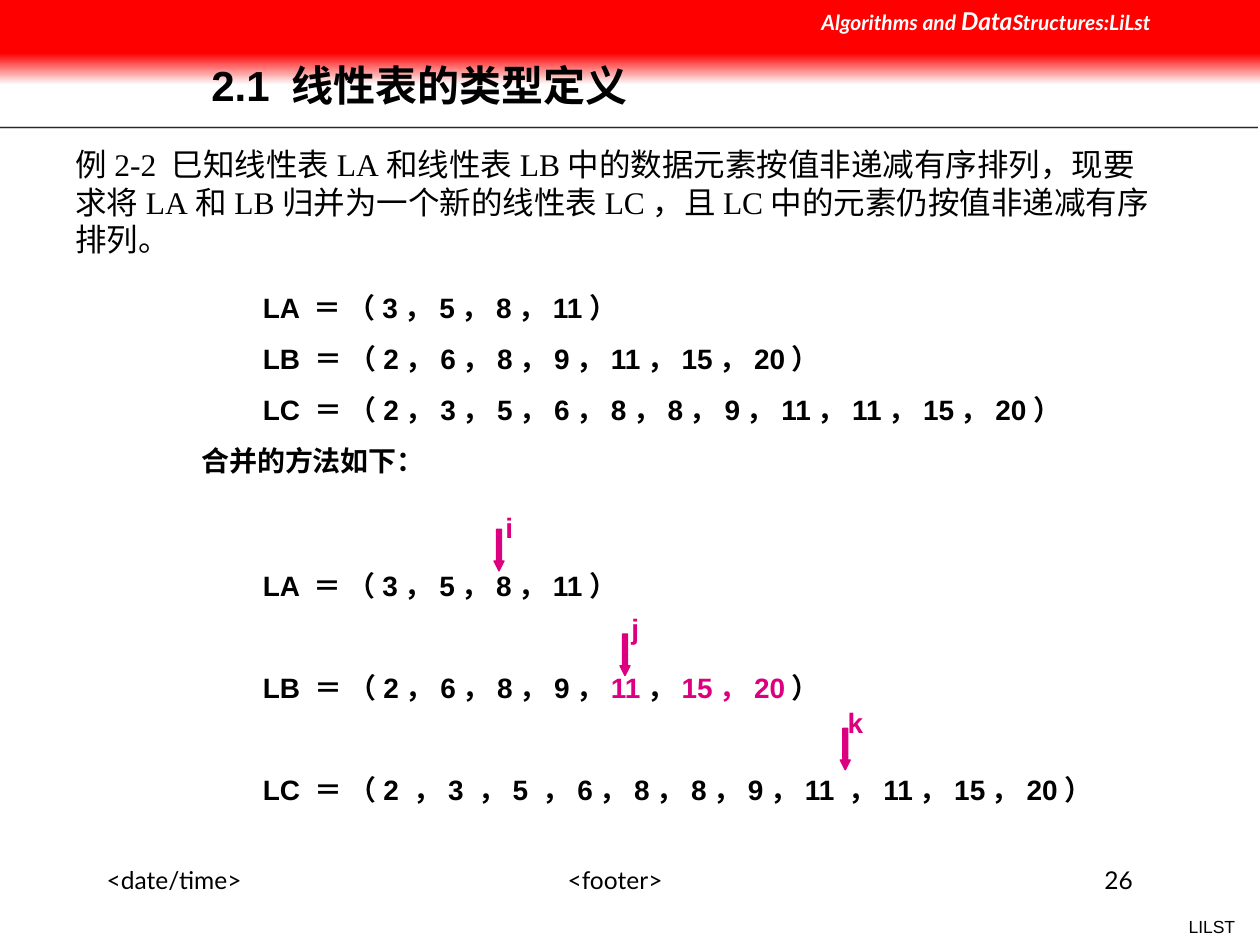
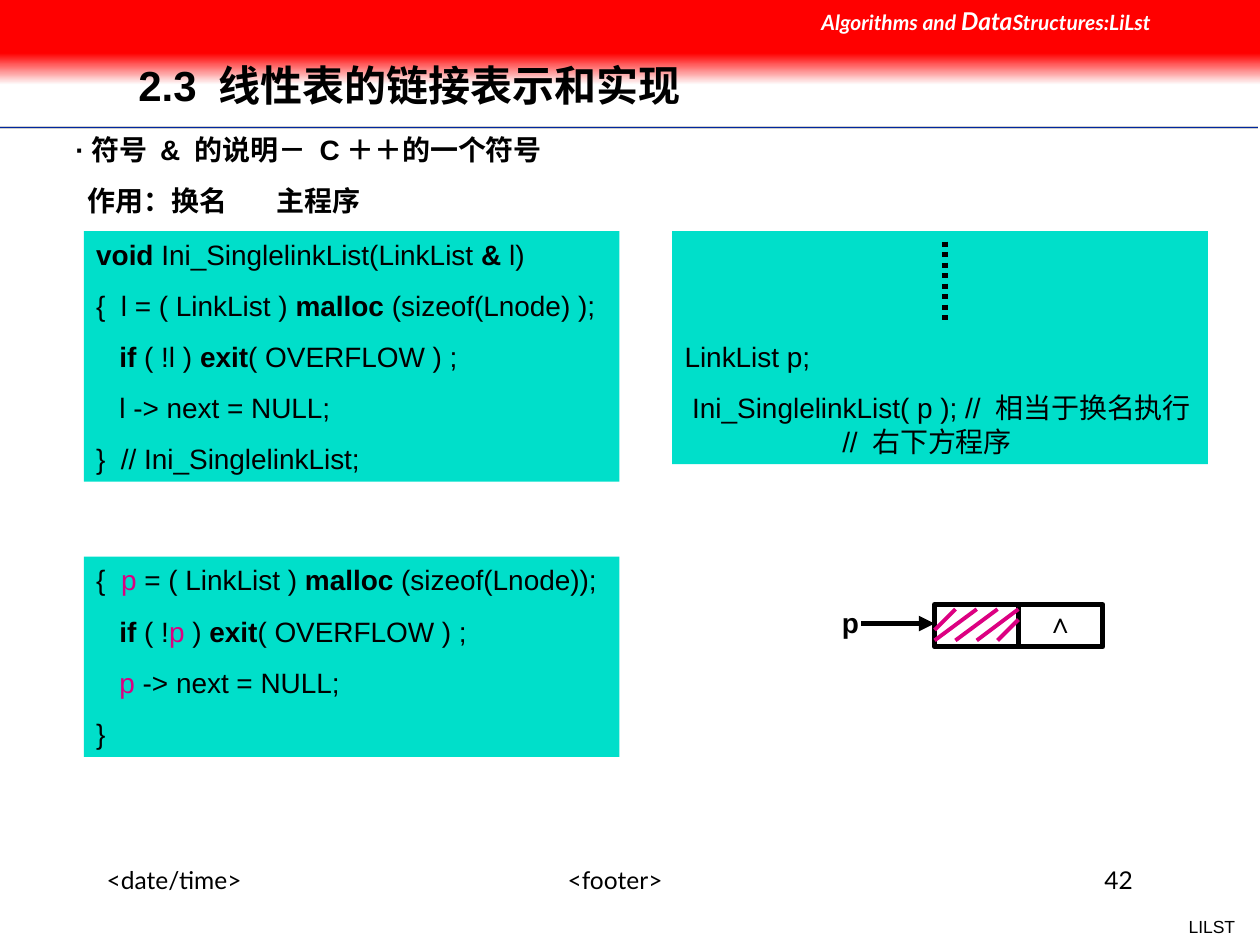
from dataclasses import dataclass
from typing import NamedTuple

import pptx
import pptx.dml.color
import pptx.enum.dml
import pptx.enum.shapes
import pptx.enum.text
import pptx.oxml
import pptx.oxml.ns
import pptx.oxml.xmlchemy
import pptx.util

Cm = pptx.util.Cm
Pt = pptx.util.Pt
Align = pptx.enum.text.PP_ALIGN
Anchor = pptx.enum.text.MSO_ANCHOR
Preset = pptx.enum.shapes.MSO_SHAPE


# Theme: colours, fonts and type sizes
@dataclass(frozen=True)
class Theme:
    black: str = "000000"
    white: str = "FFFFFF"
    red: str = "FF0000"
    fade: str = "FEFEFE"
    rule_blue: str = "00279F"
    rule_grey: str = "CECECE"
    accent: str = "DC0081"
    panel: str = "00DFCA"
    sans: str = "Arial"
    serif: str = "Times New Roman"
    humanist: str = "Lato"
    title: float = 24
    example: float = 18
    body: float = 16
    footer: float = 14
    header: float = 12
    tag: float = 10


THEME = Theme()
PARAGRAPH_GAP = 10
SPACED_GAP = 39


class Box(NamedTuple):
    left: float
    top: float
    width: float
    height: float


class Run(NamedTuple):
    text: str
    bold: bool = False
    color: str = THEME.black
    italic: bool = False
    size: float = THEME.body
    font: str = THEME.sans


class Line(NamedTuple):
    runs: list[Run]
    indent: float = 0
    gap: float = PARAGRAPH_GAP
    align: Align = Align.LEFT
    spacing: float = 1.0
    tab: float = 0


class Stroke(NamedTuple):
    start: tuple[float, float]
    end: tuple[float, float]
    color: str = THEME.black
    width: float = 3


class Pointer(NamedTuple):
    name: str
    left: float
    top: float
    label_top: float


def rgb(color: str) -> pptx.dml.color.RGBColor:
    return pptx.dml.color.RGBColor.from_string(color)


def bold(text: str, color: str = THEME.black) -> Run:
    return Run(text, True, color)


def accent(text: str) -> Run:
    return Run(text, color=THEME.accent)


def apply_format(target, values: dict) -> None:
    for name, value in values.items():
        setattr(target, name, value)


# Drawing functions
def fill_text(shape, lines: list[Line], anchor=Anchor.TOP, wrap: bool = True,
              top_margin: float = 0.13) -> None:
    frame = shape.text_frame
    apply_format(frame, {
        "word_wrap": wrap, "vertical_anchor": anchor,
        "margin_left": Cm(0.25), "margin_right": Cm(0.25),
        "margin_top": Cm(top_margin), "margin_bottom": Cm(0.13),
    })
    for index, line in enumerate(lines):
        paragraph = frame.add_paragraph() if index else frame.paragraphs[0]
        properties = paragraph._p.get_or_add_pPr()
        properties.set("marL", str(Cm(line.indent)))
        properties.set("indent", "0")
        apply_format(paragraph, {
            "alignment": line.align, "line_spacing": line.spacing,
            "space_before": Pt(line.gap if index else 0),
        })
        if line.tab:
            tabs = pptx.oxml.xmlchemy.OxmlElement("a:tabLst")
            tab = pptx.oxml.xmlchemy.OxmlElement("a:tab")
            tab.set("pos", str(Cm(line.tab)))
            tab.set("algn", "l")
            tabs.append(tab)
            properties.append(tabs)
        for item in line.runs:
            run = paragraph.add_run()
            run.text = item.text
            apply_format(run.font, {
                "name": item.font, "size": Pt(item.size),
                "bold": item.bold, "italic": item.italic,
            })
            run.font.color.rgb = rgb(item.color)


def add_text(slide, box: Box, lines: list[Line], **options) -> None:
    shape = slide.shapes.add_textbox(*map(Cm, box))
    fill_text(shape, lines, **options)


def add_block(slide, box: Box, color: str, preset=Preset.RECTANGLE,
              outline: str = "", width: float = 0):
    shape = slide.shapes.add_shape(preset, *map(Cm, box))
    shape.shadow.inherit = False
    shape.fill.solid()
    shape.fill.fore_color.rgb = rgb(color)
    if outline:
        shape.line.color.rgb = rgb(outline)
        shape.line.width = Pt(width)
    else:
        shape.line.fill.background()
    return shape


def add_stroke(slide, stroke: Stroke, arrow: bool = False):
    connector = slide.shapes.add_connector(
        pptx.enum.shapes.MSO_CONNECTOR.STRAIGHT,
        *map(Cm, stroke.start + stroke.end))
    connector.line.color.rgb = rgb(stroke.color)
    connector.line.width = Pt(stroke.width)
    if arrow:
        head = pptx.oxml.xmlchemy.OxmlElement("a:tailEnd")
        head.set("type", "triangle")
        connector.line._get_or_add_ln().append(head)
    connector._element.spPr.append(pptx.oxml.xmlchemy.OxmlElement("a:effectLst"))
    return connector


def add_label(slide, box: Box, text: str, color: str = THEME.black) -> None:
    add_text(slide, box, [Line([bold(text, color)], align=Align.CENTER)])


def add_panel(slide, box: Box, lines: list[Line], top_margin: float = 0.13) -> None:
    fill_text(add_block(slide, box, THEME.panel), lines, top_margin=top_margin)


# Shared frame: rules, footers, red band, course name and title
def add_frame(presentation, title: str, title_left: float, number: str):
    slide = presentation.slides.add_slide(presentation.slide_layouts[6])
    for y, color, width in ((2.57, THEME.rule_grey, 2), (2.57, THEME.rule_blue, 1),
                            (2.62, THEME.white, 1)):
        add_stroke(slide, Stroke((0, y), (25.35, y), color, width))

    tag = Run("LILST", size=THEME.tag)
    add_text(slide, Box(23.7, 18.34, 1.45, 0.69),
             [Line([tag], align=Align.RIGHT)], wrap=False)
    for text, left, width, align in (("<date/time>", 1.9, 4.88, Align.LEFT),
                                     ("<footer>", 8.69, 7.42, Align.CENTER),
                                     (number, 18.21, 4.88, Align.RIGHT)):
        run = Run(text, size=THEME.footer, font=THEME.humanist)
        add_text(slide, Box(left, 17.3, width, 1.27), [Line([run], align=align)])

    fade = add_block(slide, Box(0, 1.07, 25.4, 0.64), THEME.red)
    fade.fill.gradient()
    fade.fill.gradient_angle = 270
    for stop, color in zip(fade.fill.gradient_stops, (THEME.red, THEME.fade)):
        stop.color.rgb = rgb(color)
    add_block(slide, Box(0, 0, 25.4, 1.07), THEME.red)

    course = [Run(text, True, THEME.white, True, size, THEME.humanist)
              for text, size in (("Algorithms and ", THEME.header),
                                 ("Data", THEME.footer),
                                 ("Structures:LiLst", THEME.header))]
    add_text(slide, Box(16.31, 0, 9.09, 0.86), [Line(course)])
    heading = Run(title, True, size=THEME.title)
    add_text(slide, Box(title_left, 0.84, 19.18, 1.88),
             [Line([heading], spacing=0.9)], anchor=Anchor.MIDDLE)
    return slide


# Slide: merging two ordered lists
def build_merge_slide(presentation) -> None:
    slide = add_frame(presentation, "2.1 线性表的类型定义", 4.01, "26")
    list_indent = 5.05
    lists = ["LA ＝ （3，5，8，11）",
             "LB ＝ （2，6，8，9，11，15，20）",
             "LC ＝ （2，3，5，6，8，8，9，11，11，15，20）"]
    lines = [Line([bold(text)], list_indent) for text in lists]
    lines.append(Line([bold("合并的方法如下：")], 3.81))
    add_text(slide, Box(0, 5.72, 23.06, 4.04), lines)

    merge_steps = [
        [bold(lists[0])],
        [bold("LB ＝ （2，6，8，9，"), bold("11", THEME.accent), bold("，"),
         bold("15，20", THEME.accent), bold("）")],
        [bold("LC ＝ （2 ，3 ，5 ，6，8，8，9，11 ，11，15，20）")],
    ]
    add_text(slide, Box(0, 11.33, 23.06, 6.1),
             [Line(runs, list_indent, SPACED_GAP) for runs in merge_steps])

    for pointer in (Pointer("i", 9.96, 10.67, 10.16),
                    Pointer("j", 12.5, 12.78, 12.19),
                    Pointer("k", 16.94, 14.68, 14.1)):
        arrow = add_block(slide, Box(pointer.left, pointer.top, 0.2, 0.84),
                          THEME.accent, Preset.DOWN_ARROW, THEME.accent, 0.75)
        arrow.adjustments[1] = 1.0
        add_label(slide, Box(pointer.left - 0.23, pointer.label_top, 1.07, 0.94),
                  pointer.name, THEME.accent)

    example = Run("例2-2 巳知线性表LA和线性表LB中的数据元素按值非递减有序排列，"
                  "现要求将LA和LB归并为一个新的线性表LC，且LC中的元素仍按值非递减有序排列。",
                  size=THEME.example, font=THEME.serif)
    add_text(slide, Box(0, 2.79, 23.55, 2.54), [Line([example], 1.27)])


# Slide: reference parameters in linked lists
def build_reference_slide(presentation) -> None:
    slide = add_frame(presentation, "2.3 线性表的链接表示和实现", 2.54, "42")
    add_text(slide, Box(0, 2.54, 24.33, 1.96), [
        Line([bold("·符号 & 的说明－ C＋＋的一个符号")], 1.27),
        Line([bold("作用：换名\t主程序")], 1.52, tab=17.53),
    ])

    # Code panels
    overflow = [bold("exit"), Run("( OVERFLOW ) ;")]
    function_code = [
        [bold("void "), Run("Ini_SinglelinkList(LinkList "), bold("&"), Run(" l)")],
        [Run("{  l = ( LinkList ) "), bold("malloc"), Run(" (sizeof(Lnode) );")],
        [bold("   if"), Run(" ( !l ) "), *overflow],
        [Run("   l -> next = NULL;")],
        [Run("}  // Ini_SinglelinkList;")],
    ]
    renamed_code = [
        [Run("{  "), accent("p"), Run(" = ( LinkList ) "), bold("malloc"),
         Run(" (sizeof(Lnode));")],
        [bold("   if"), Run(" ( !"), accent("p"), Run(" ) "), *overflow],
        [Run("   "), accent("p"), Run(" -> next = NULL;")],
        [Run("}")],
    ]
    for top, height, code in ((4.66, 5.05, function_code), (11.22, 4.04, renamed_code)):
        add_panel(slide, Box(1.69, top, 10.8, height), [Line(runs) for runs in code])
    add_panel(slide, Box(13.55, 4.66, 10.8, 4.7), [
        Line([Run("LinkList p;")]),
        Line([Run(" Ini_SinglelinkList( p ); // 相当于换名执行")]),
        Line([Run("// 右下方程序")], 3.18, gap=0),
    ], top_margin=2.19)
    dots = add_stroke(slide, Stroke((19.05, 4.87), (19.05, 6.56)))
    dots.line.dash_style = pptx.enum.dml.MSO_LINE.ROUND_DOT

    # Node diagram
    add_stroke(slide, Stroke((17.36, 12.57), (18.84, 12.57)), arrow=True)
    add_label(slide, Box(16.51, 12.07, 1.27, 0.94), "p")
    add_block(slide, Box(18.84, 12.19, 3.39, 0.85), THEME.white,
              outline=THEME.black, width=3)
    add_stroke(slide, Stroke((20.53, 12.19), (20.53, 13.04)))
    for start, end in (((19.69, 12.28), (18.84, 12.91)),
                       ((20.11, 12.28), (19.26, 12.91)),
                       ((20.53, 12.28), (19.69, 12.91)),
                       ((20.53, 12.49), (20.11, 12.91)),
                       ((19.26, 12.28), (18.84, 12.7))):
        add_stroke(slide, Stroke(start, end, THEME.accent, 2.25))
    add_label(slide, Box(20.74, 12.07, 1.27, 0.94), "∧")


def main() -> None:
    presentation = pptx.Presentation()
    presentation.slide_width = Cm(25.4)
    presentation.slide_height = Cm(19.05)
    build_merge_slide(presentation)
    build_reference_slide(presentation)
    presentation.save("out.pptx")


if __name__ == "__main__":
    main()
